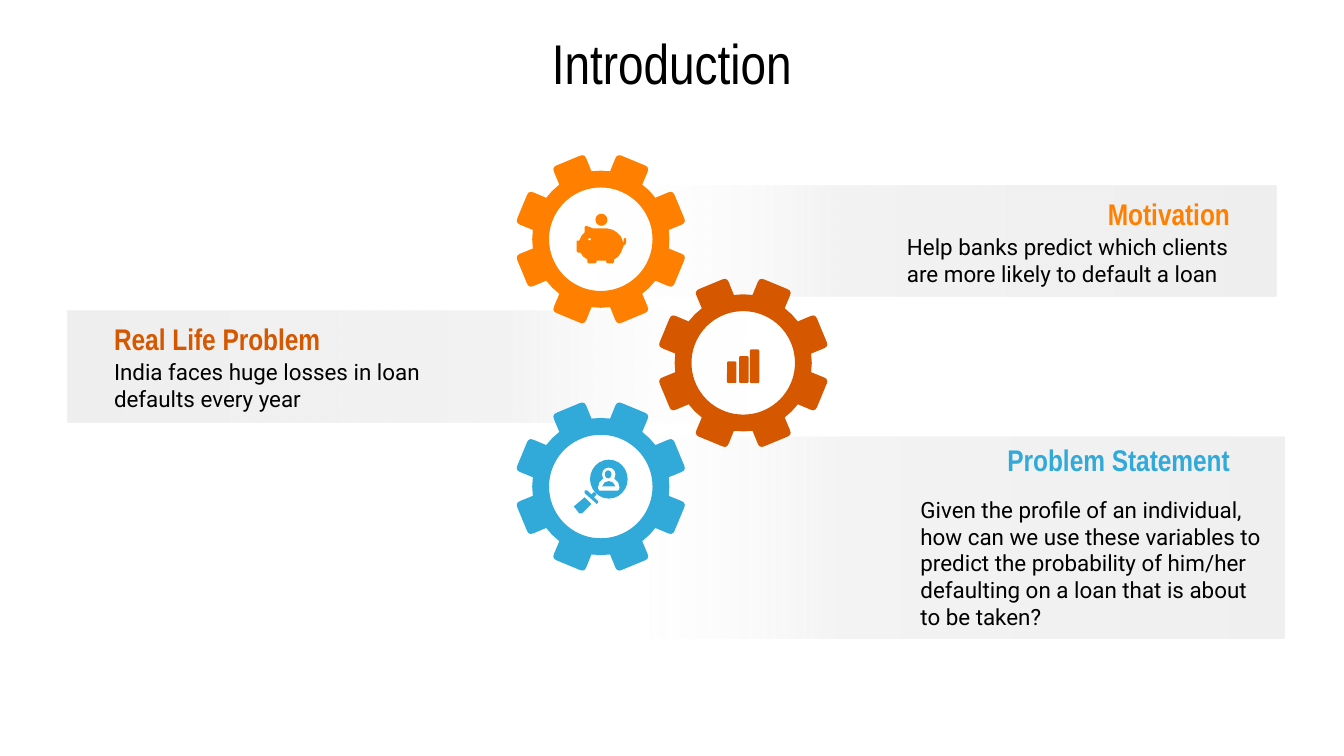
from math import cos, radians, sin

from pptx import Presentation
from pptx.dml.color import RGBColor
from pptx.enum.shapes import MSO_SHAPE
from pptx.enum.text import MSO_ANCHOR, PP_ALIGN
from pptx.oxml import parse_xml
from pptx.util import Inches, Pt

BLACK = RGBColor(0x00, 0x00, 0x00)
WHITE = RGBColor(0xFF, 0xFF, 0xFF)
ORANGE = RGBColor(0xFF, 0x80, 0x01)
RUST = RGBColor(0xD5, 0x58, 0x00)
BLUE = RGBColor(0x32, 0xAA, 0xD9)

GRADIENT = """
<a:gradFill xmlns:a="http://schemas.openxmlformats.org/drawingml/2006/main" rotWithShape="1">
  <a:gsLst>
    <a:gs pos="0"><a:srgbClr val="EFEFEF"/></a:gs>
    <a:gs pos="64000"><a:srgbClr val="F3F3F3"/></a:gs>
    <a:gs pos="100000"><a:srgbClr val="FFFFFF"><a:alpha val="0"/></a:srgbClr></a:gs>
  </a:gsLst>
  <a:lin ang="10800000" scaled="0"/>
</a:gradFill>"""

# A 16:9 page
deck = Presentation()
deck.slide_width, deck.slide_height = Inches(10), Inches(10 * 9 / 16)
page = deck.slides.add_slide(deck.slide_layouts[6])


def write(text, left, top, width, height, *, font="Roboto", size=12,
          color=BLACK, bold=False, align=PP_ALIGN.LEFT):
    box = page.shapes.add_textbox(Inches(left), Inches(top), Inches(width), Inches(height))
    frame = box.text_frame
    frame.word_wrap = True
    frame.vertical_anchor = MSO_ANCHOR.MIDDLE
    frame.margin_left = frame.margin_right = Inches(0.1)
    frame.margin_top = frame.margin_bottom = Inches(0.1)
    para = frame.paragraphs[0]
    para.alignment = align
    span = para.add_run()
    span.text = text
    span.font.name, span.font.size = font, Pt(size)
    span.font.bold, span.font.color.rgb = bold, color


def draw(color, *contours, preset=None, at=None):
    """Draw a preset shape at a place, or an outline made of closed contours."""
    if preset:
        shape = page.shapes.add_shape(preset, *[Inches(value) for value in at])
    else:
        points = [[(Inches(x), Inches(y)) for x, y in contour] for contour in contours]
        builder = page.shapes.build_freeform(*points[0][0])
        builder.add_line_segments(points[0][1:], close=True)
        for contour in points[1:]:
            builder.move_to(*contour[0])
            builder.add_line_segments(contour[1:], close=True)
        shape = builder.convert_to_shape()
    shape.shadow.inherit = False
    shape.fill.solid()
    shape.fill.fore_color.rgb = color
    shape.line.fill.background()
    return shape


# Fading bands
for left, top, width, height, turn in [
    (0.5, 2.31, 5.05, 0.83, 180),
    (4.45, 1.38, 5.05, 0.83, 0),
    (4.45, 3.25, 5.11, 1.5, 0),
]:
    band = draw(WHITE, preset=MSO_SHAPE.RECTANGLE, at=(left, top, width, height))
    band.rotation = turn
    solid = band.element.spPr.find("{*}solidFill")
    band.element.spPr.replace(solid, parse_xml(GRADIENT))

# Title
write("Introduction", 0.5, 0.2, 9, 0.53, font="Arial Narrow", size=30, align=PP_ALIGN.CENTER)

# Gears: eight teeth in polar steps (degrees, radius) around a round hole
TOOTH = [(-14.7, 0.51), (-12.3, 0.61), (-11.6, 0.63), (-10.2, 0.64), (-8.5, 0.64),
         (8.5, 0.64), (10.2, 0.64), (11.6, 0.63), (12.3, 0.61), (14.7, 0.51), (22.5, 0.51)]
rim = [(22.5 + 45 * step + angle, radius) for step in range(8) for angle, radius in TOOTH]
hole = [(angle, 0.385) for angle in range(0, 360, 5)]
for center_x, center_y, color in [(4.47, 1.78, ORANGE), (5.53, 2.7, RUST), (4.47, 3.62, BLUE)]:
    draw(color, *[
        [(center_x + radius * sin(radians(angle)), center_y - radius * cos(radians(angle)))
         for angle, radius in ring]
        for ring in (rim, hole)
    ])

# Headings and body texts
for text, left, top, color, align in [
    ("Motivation", 6, 1.45, ORANGE, PP_ALIGN.RIGHT),
    ("Real Life Problem", 0.75, 2.38, RUST, PP_ALIGN.LEFT),
    ("Problem Statement", 6, 3.28, BLUE, PP_ALIGN.RIGHT),
]:
    write(text, left, top, 3.25, 0.28, font="Arial Narrow", size=16, color=color,
          bold=True, align=align)
for text, left, top, height in [
    ("Help banks predict which clients are more likely to default a loan", 6.65, 1.73, 0.41),
    ("India faces huge losses in loan defaults every year", 0.75, 2.66, 0.41),
    ("Given the profile of an individual, how can we use these variables to predict the "
     "probability of him/her defaulting on a loan that is about to be taken?", 6.75, 3.56, 1.26),
]:
    write(text, left, top, 2.75, height)

# Bar icon
for left, height in [(5.41, 0.16), (5.5, 0.2), (5.58, 0.25)]:
    bar = draw(RUST, preset=MSO_SHAPE.ROUNDED_RECTANGLE, at=(left, 2.85 - height, 0.07, height))
    bar.adjustments[0] = 0.15

# Piggy bank icon with coin
draw(ORANGE, preset=MSO_SHAPE.OVAL, at=(4.43, 1.59, 0.09, 0.09))
draw(ORANGE, [
    (4.36, 1.68), (4.35, 1.69), (4.35, 1.73), (4.33, 1.75), (4.31, 1.79), (4.29, 1.79),
    (4.29, 1.87), (4.3, 1.88), (4.32, 1.88), (4.34, 1.91), (4.37, 1.93), (4.37, 1.95),
    (4.38, 1.96), (4.43, 1.96), (4.44, 1.95), (4.44, 1.94), (4.51, 1.94), (4.51, 1.95),
    (4.52, 1.96), (4.56, 1.96), (4.57, 1.95), (4.57, 1.93), (4.6, 1.91), (4.62, 1.88),
    (4.64, 1.83), (4.66, 1.81), (4.66, 1.78), (4.65, 1.77), (4.64, 1.78), (4.64, 1.81),
    (4.62, 1.76), (4.59, 1.73), (4.56, 1.71), (4.52, 1.7), (4.41, 1.7), (4.39, 1.69),
], [(4.39, 1.77), (4.4, 1.78), (4.39, 1.79), (4.37, 1.78)])

# Magnifier icon with a person in the lens
draw(BLUE, [(4.42, 3.66), (4.4, 3.68), (4.37, 3.65), (4.35, 3.65), (4.35, 3.67), (4.43, 3.74),
            (4.44, 3.75), (4.45, 3.74), (4.45, 3.73), (4.42, 3.7), (4.44, 3.68)])
draw(BLUE, preset=MSO_SHAPE.OVAL, at=(4.39, 3.42, 0.28, 0.29))
draw(WHITE, preset=MSO_SHAPE.OVAL, at=(4.48, 3.48, 0.1, 0.1))
draw(WHITE, [(4.49, 3.56), (4.57, 3.56), (4.6, 3.59), (4.61, 3.63), (4.6, 3.65),
             (4.46, 3.65), (4.45, 3.63), (4.46, 3.59)])
draw(BLUE, preset=MSO_SHAPE.OVAL, at=(4.5, 3.5, 0.05, 0.06))
draw(BLUE, [(4.53, 3.58), (4.5, 3.59), (4.48, 3.62), (4.58, 3.62), (4.56, 3.59)])
draw(BLUE, [(4.35, 3.7), (4.28, 3.76), (4.27, 3.77), (4.28, 3.78), (4.31, 3.82),
            (4.32, 3.82), (4.33, 3.82), (4.4, 3.75)])

deck.save("out.pptx")
